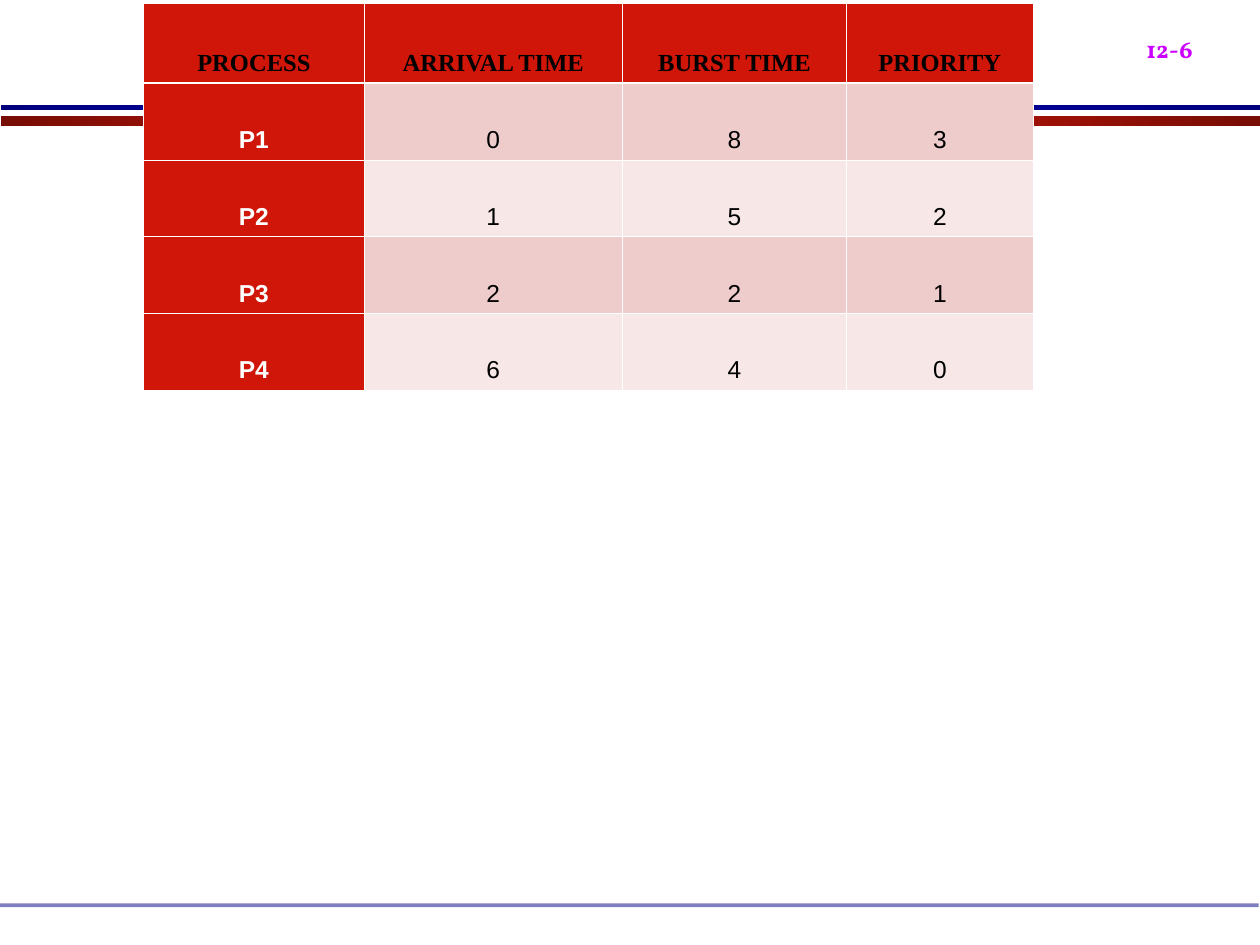
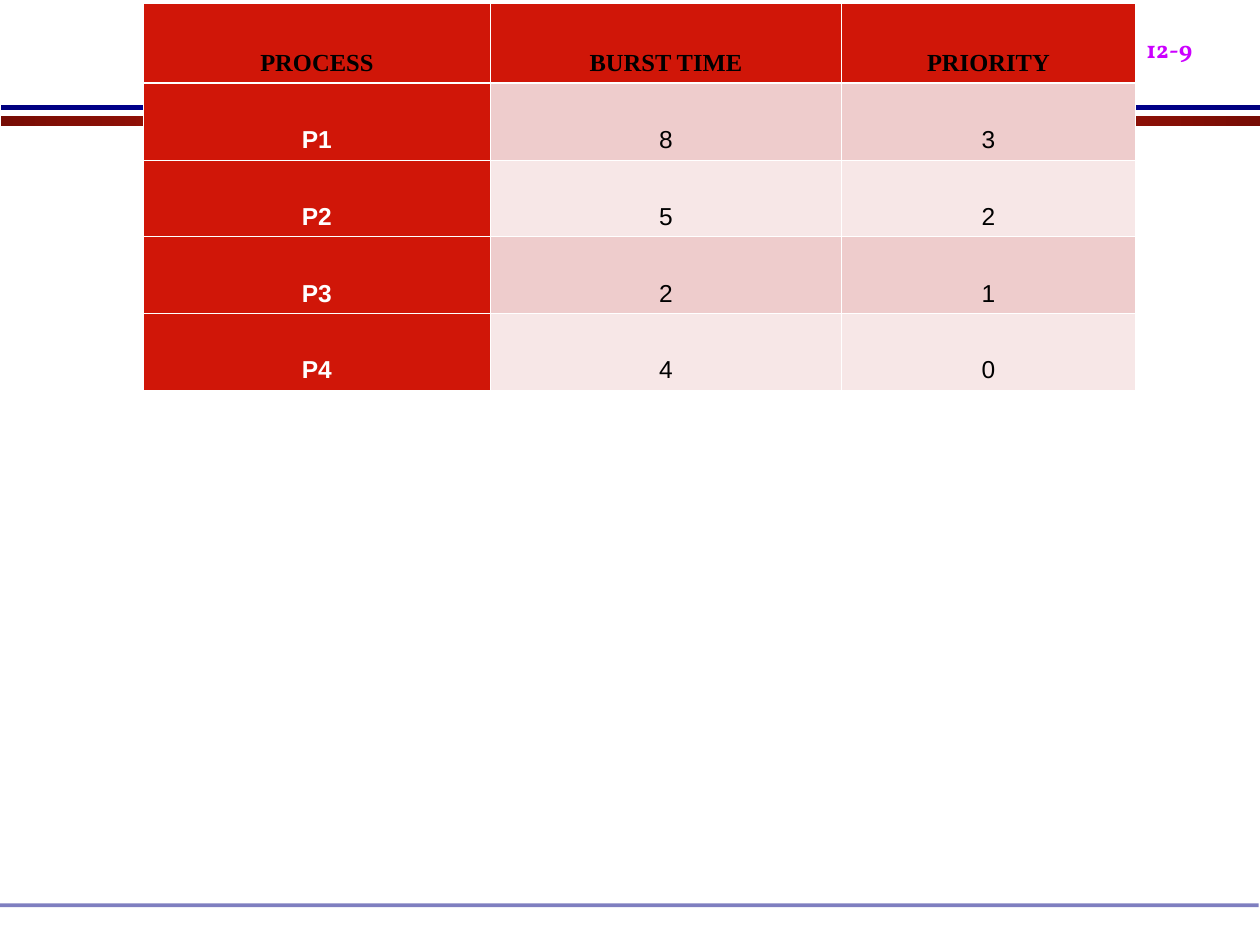
from copy import deepcopy

from lxml.etree import SubElement
from pptx import Presentation
from pptx.dml.color import RGBColor
from pptx.enum.shapes import MSO_SHAPE
from pptx.enum.text import MSO_ANCHOR, MSO_AUTO_SIZE, PP_ALIGN
from pptx.oxml.ns import qn
from pptx.util import Inches, Pt

# Content: each process with its values, and the columns each slide shows
PROCESSES = [
    {"PROCESS": "P1", "ARRIVAL TIME": 0, "BURST TIME": 8, "PRIORITY": 3},
    {"PROCESS": "P2", "ARRIVAL TIME": 1, "BURST TIME": 5, "PRIORITY": 2},
    {"PROCESS": "P3", "ARRIVAL TIME": 2, "BURST TIME": 2, "PRIORITY": 1},
    {"PROCESS": "P4", "ARRIVAL TIME": 6, "BURST TIME": 4, "PRIORITY": 0},
]
PAGES = [
    ("12-6", {"PROCESS": 1.75, "ARRIVAL TIME": 2.05, "BURST TIME": 1.78, "PRIORITY": 1.48}),
    ("12-9", {"PROCESS": 2.75, "BURST TIME": 2.79, "PRIORITY": 2.33}),
]

WHITE = RGBColor(0xFF, 0xFF, 0xFF)
BLACK = RGBColor(0x00, 0x00, 0x00)
RED = RGBColor(0xD0, 0x16, 0x08)
ROW_TINTS = [RGBColor(0xEE, 0xCC, 0xCC), RGBColor(0xF7, 0xE7, 0xE7)]
DARK_RED = RGBColor(0x77, 0x0D, 0x05)
BRIGHT_RED = RGBColor(0xE7, 0x19, 0x09)
DARK_BLUE = RGBColor(0x00, 0x00, 0x7F)
BRIGHT_BLUE = RGBColor(0x00, 0x00, 0xB6)
FOOTER_BLUE = RGBColor(0x00, 0x00, 0x82)
MAGENTA = RGBColor(0xCC, 0x00, 0xFF)

HEADER_FONT, BODY_FONT, NUMBER_FONT = "Times New Roman", "Arial", "Vollkorn"
SLIDE_WIDTH, SLIDE_HEIGHT = 10, 7.5
BAND_WIDTH = 9.99
TABLE_LEFT, TABLE_TOP = 1.14, 0.03
HEADER_HEIGHT, ROW_HEIGHT = 0.63, 0.61
THIN, THICK = Pt(0.45), Pt(1.47)


def add_band(page, left, top, height):
    band = page.shapes.add_shape(MSO_SHAPE.RECTANGLE, Inches(left), Inches(top),
                                 Inches(BAND_WIDTH), Inches(height))
    band.shadow.inherit = False
    band.line.fill.background()
    return band


def fill_edge_to_middle(band, edge, middle):
    """Horizontal gradient that is brightest halfway along the band."""
    band.fill.gradient()
    band.fill.gradient_angle = 0
    first_stop = band._element.spPr.find(".//" + qn("a:gs"))
    first_stop.addnext(deepcopy(first_stop))
    for stop, position, color in zip(band.fill.gradient_stops, (0, 0.5, 1),
                                     (edge, middle, edge)):
        stop.position = position
        stop.color.rgb = color


def add_frame(page):
    fill_edge_to_middle(add_band(page, 0.01, 0.92, 0.08), DARK_RED, BRIGHT_RED)
    fill_edge_to_middle(add_band(page, 0.01, 0.83, 0.04), DARK_BLUE, BRIGHT_BLUE)
    footer = add_band(page, 0, 7.17, 0.03)
    footer.fill.solid()
    footer.fill.fore_color.rgb = FOOTER_BLUE
    color = footer._element.spPr.find(qn("a:solidFill"))[0]
    SubElement(color, qn("a:alpha"), val="50000")


def add_text(para, text, font_name, size, color, bold):
    span = para.add_run()
    span.text = text
    span.font.name = font_name
    span.font.size = Pt(size)
    span.font.bold = bold
    span.font.color.rgb = color
    return span


def add_page_number(page, number):
    box = page.shapes.add_textbox(Inches(9), 0, Inches(1.08), Inches(0.56))
    box.text_frame.word_wrap = True
    box.text_frame.auto_size = MSO_AUTO_SIZE.SHAPE_TO_FIT_TEXT
    span = add_text(box.text_frame.paragraphs[0], number, NUMBER_FONT, 24, MAGENTA, True)
    span.font._element.set("baseline", "-25000")


def set_borders(cell, top, bottom):
    properties = cell._tc.get_or_add_tcPr()
    for side, width in (("L", THIN), ("R", THIN), ("T", top), ("B", bottom)):
        line = SubElement(properties, qn("a:ln" + side), w=str(width))
        SubElement(SubElement(line, qn("a:solidFill")), qn("a:srgbClr"), val=str(WHITE))


def add_process_table(page, columns):
    rows = [list(columns)]
    rows += [[str(process[name]) for name in columns] for process in PROCESSES]
    heights = [HEADER_HEIGHT] + [ROW_HEIGHT] * len(PROCESSES)
    table = page.shapes.add_table(
        len(rows), len(columns), Inches(TABLE_LEFT), Inches(TABLE_TOP),
        Inches(sum(columns.values())), Inches(sum(heights))).table
    for column, width in zip(table.columns, columns.values()):
        column.width = Inches(width)

    for row_index, (values, height) in enumerate(zip(rows, heights)):
        table.rows[row_index].height = Inches(height)
        is_header = row_index == 0
        for column_index, value in enumerate(values):
            is_label = column_index == 0
            cell = table.cell(row_index, column_index)
            set_borders(cell, THICK if row_index == 1 else THIN,
                        THICK if is_header else THIN)
            cell.fill.solid()
            cell.fill.fore_color.rgb = (
                RED if is_header or is_label else ROW_TINTS[(row_index - 1) % 2])
            cell.vertical_anchor = MSO_ANCHOR.BOTTOM
            cell.margin_left = cell.margin_right = Inches(0.08 if is_header else 0.15)
            para = cell.text_frame.paragraphs[0]
            para.alignment = PP_ALIGN.CENTER
            para.line_spacing = 2.0
            add_text(para, value, HEADER_FONT if is_header else BODY_FONT, 14,
                     WHITE if is_label and not is_header else BLACK,
                     is_header or is_label)


def main():
    deck = Presentation()
    deck.slide_width, deck.slide_height = Inches(SLIDE_WIDTH), Inches(SLIDE_HEIGHT)
    for number, columns in PAGES:
        page = deck.slides.add_slide(deck.slide_layouts[6])
        add_frame(page)
        add_page_number(page, number)
        add_process_table(page, columns)
    deck.save("out.pptx")


if __name__ == "__main__":
    main()
